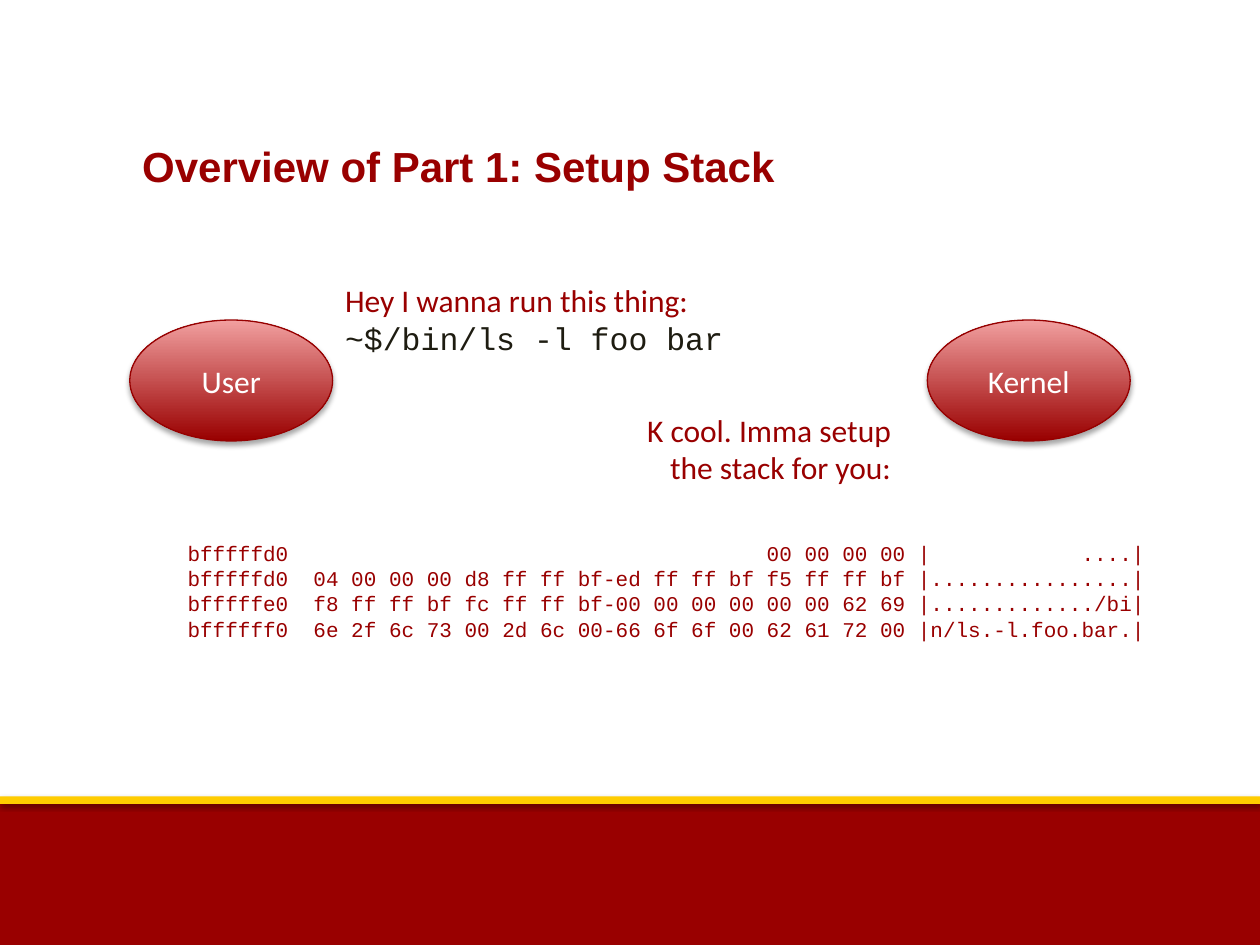
from lxml.etree import SubElement
from pptx import Presentation
from pptx.dml.color import RGBColor
from pptx.enum.shapes import MSO_SHAPE as Shape
from pptx.enum.text import MSO_ANCHOR as Anchor, MSO_AUTO_SIZE as AutoSize, PP_ALIGN as Align
from pptx.oxml.ns import qn
from pptx.util import Inches, Pt

COLUMNS, ROWS = 100, 75
WIDTH, HEIGHT = Inches(10), Inches(7.5)
RED, EDGE, PINK, GOLD = "990000", "960000", "F19F9F", "FFCC00"
WHITE, INK = "FFFFFF", "1E1C11"
STACK = [
    ("bfffffd0", "00 00 00 00", "...."),
    ("bfffffd0", "04 00 00 00 d8 ff ff bf-ed ff ff bf f5 ff ff bf", "................"),
    ("bfffffe0", "f8 ff ff bf fc ff ff bf-00 00 00 00 00 00 62 69", "............./bi"),
    ("bffffff0", "6e 2f 6c 73 00 2d 6c 00-66 6f 6f 00 62 61 72 00", "n/ls.-l.foo.bar."),
]


def color(code):
    """Turn a hex string into a colour."""
    return RGBColor.from_string(code)


def place(left, top, width, height):
    """Turn grid columns and rows into slide lengths."""
    column, row = WIDTH / COLUMNS, HEIGHT / ROWS
    return [round(n) for n in (left * column, top * row, width * column, height * row)]


def add_shadow(shape, opacity, distance):
    """Give a shape a soft shadow that falls downwards."""
    shape.shadow.inherit = False
    effects = shape._element.spPr.find(qn("a:effectLst"))
    shadow = SubElement(effects, qn("a:outerShdw"), blurRad=str(Pt(3.1)),
                        dist=str(Pt(distance)), dir="5400000", rotWithShape="0")
    black = SubElement(shadow, qn("a:srgbClr"), val="000000")
    SubElement(black, qn("a:alpha"), val=str(opacity * 1000))


def write(frame, lines, size, align=Align.LEFT, bold=False):
    """Write (text, font, colour) lines as paragraphs."""
    for index, (text, font, code) in enumerate(lines):
        para = frame.add_paragraph() if index else frame.paragraphs[0]
        para.text, para.alignment = text, align
        para.font.name, para.font.size, para.font.bold = font, Pt(size), bold
        para.font.color.rgb = color(code)


def add_band(page, top, height, code, opacity, distance):
    """Add a band across the whole slide."""
    band = page.shapes.add_shape(Shape.RECTANGLE, *place(0, top, COLUMNS, height))
    band.fill.solid()
    band.fill.fore_color.rgb = color(code)
    band.line.fill.background()
    add_shadow(band, opacity, distance)


def add_actor(page, left, name):
    """Add a named oval with a red gradient."""
    oval = page.shapes.add_shape(Shape.OVAL, *place(left, 25.4, 16.1, 9.6))
    oval.fill.gradient()
    oval.fill.gradient_angle = 90
    for stop, code in zip(oval.fill.gradient_stops, (RED, PINK)):
        stop.color.rgb = color(code)
    oval.line.color.rgb = color(EDGE)
    oval.line.width = Pt(0.75)
    add_shadow(oval, 35, 1.8)
    oval.text_frame.vertical_anchor = Anchor.MIDDLE
    write(oval.text_frame, [(name, "Calibri", WHITE)], 18, Align.CENTER)


def add_text(page, area, lines, size, **style):
    """Add a wrapping text box on the grid."""
    frame = page.shapes.add_textbox(*place(*area)).text_frame
    frame.word_wrap = True
    frame.auto_size = AutoSize.SHAPE_TO_FIT_TEXT
    write(frame, lines, size, **style)


def dump_line(address, codes, letters):
    """Align one line of the stack dump to the right of its fields."""
    return f"{address}  {codes:>47} |{letters:>16}|"


def main():
    """Build the slide and save it."""
    deck = Presentation()
    deck.slide_width, deck.slide_height = WIDTH, HEIGHT
    page = deck.slides.add_slide(deck.slide_layouts[6])

    add_band(page, 63.5, 11.5, RED, 35, 1.8)
    add_band(page, 63.2, 0.6, GOLD, 38, 1.6)
    add_actor(page, 10.3, "User")
    add_actor(page, 73.6, "Kernel")
    add_text(page, (26.4, 21.8, 34, 7.1),
             [("Hey I wanna run this thing:", "Calibri", RED),
              ("~$/bin/ls -l foo bar", "Courier New", INK)], 18)
    add_text(page, (47.5, 32.1, 24.2, 7.1),
             [("K cool. Imma setup the stack for you:", "Calibri", RED)], 18, align=Align.RIGHT)
    add_text(page, (13.9, 42.4, 79.8, 9.1),
             [(dump_line(*row), "Courier New", RED) for row in STACK], 12)
    add_text(page, (10.3, 10.7, 80.9, 5),
             [("Overview of Part 1: Setup Stack", "Arial", RED)], 24, bold=True)
    deck.save("out.pptx")


if __name__ == "__main__":
    main()
